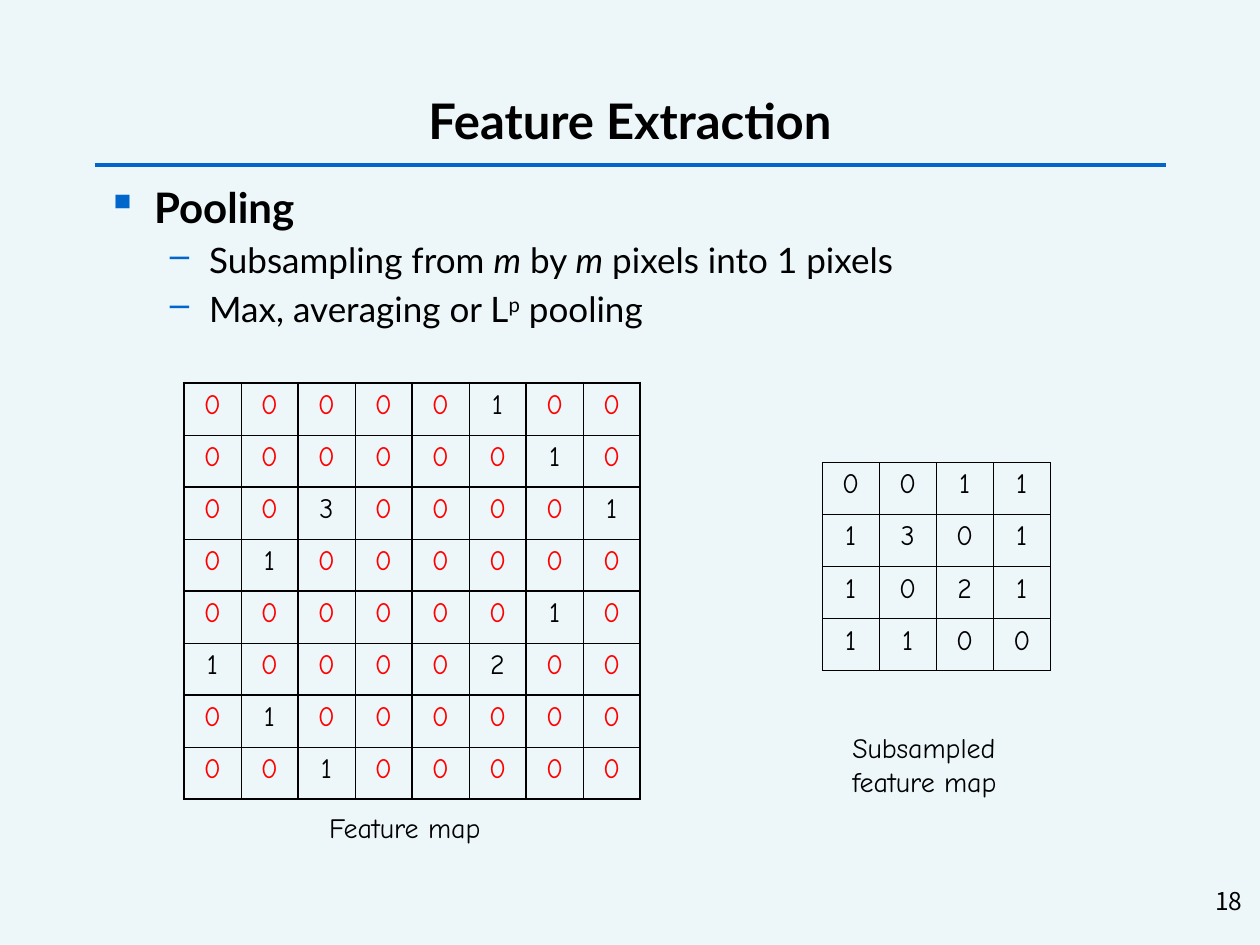
from lxml.etree import SubElement
from pptx import Presentation
from pptx.dml.color import RGBColor
from pptx.enum.shapes import MSO_CONNECTOR
from pptx.enum.text import MSO_ANCHOR, PP_ALIGN
from pptx.oxml.ns import qn
from pptx.util import Pt

FEATURE_MAP = [
    "00000100",
    "00000010",
    "00300001",
    "01000000",
    "00000010",
    "10000200",
    "01000000",
    "00100000",
]
SUBSAMPLED_MAP = ["0011", "1301", "1021", "1100"]


def color(hex_string):
    return RGBColor.from_string(hex_string)


class SlideBuilder:
    background = "EDF7F9"
    accent = "0066CC"
    ink = "000000"
    zero = "FF0000"
    text_font = "Lato"
    map_font = "Comic Neue"
    number_font = "Noto Sans CJK KR"
    cell_width = 32.6
    cell_height = 29.75
    thick, thin = 1.5, 0.25

    def __init__(self, presentation):
        self.slide = presentation.slides.add_slide(presentation.slide_layouts[6])
        fill = self.slide.background.fill
        fill.solid()
        fill.fore_color.rgb = color(self.background)

    def rule(self, left, right, top):
        line = self.slide.shapes.add_connector(
            MSO_CONNECTOR.STRAIGHT, Pt(left), Pt(top), Pt(right), Pt(top))
        line.line.color.rgb = color(self.accent)
        line.line.width = Pt(2.25)
        SubElement(line._element.spPr, qn("a:effectLst"))

    def text_frame(self, left, top, width, height, anchor=MSO_ANCHOR.TOP):
        box = self.slide.shapes.add_textbox(Pt(left), Pt(top), Pt(width), Pt(height))
        frame = box.text_frame
        frame.word_wrap = True
        frame.vertical_anchor = anchor
        return frame

    def run(self, paragraph, text, size, font, fill=ink, bold=False, style=None):
        """Add one run; style may be "italic" or "superscript"."""
        run = paragraph.add_run()
        run.text = text
        run.font.size = Pt(size)
        run.font.name = font
        run.font.bold = bold
        run.font.color.rgb = color(fill)
        if style == "italic":
            run.font.italic = True
        elif style == "superscript":
            run._r.get_or_add_rPr().set("baseline", "30000")

    def label(self, lines, left, top, width, height, size, font,
              align=PP_ALIGN.LEFT, bold=False, anchor=MSO_ANCHOR.TOP):
        frame = self.text_frame(left, top, width, height, anchor)
        for index, line in enumerate(lines):
            paragraph = frame.add_paragraph() if index else frame.paragraphs[0]
            paragraph.alignment = align
            self.run(paragraph, line, size, font, bold=bold)

    def bullet(self, paragraph, symbol, margin, hanging):
        properties = paragraph._p.get_or_add_pPr()
        properties.set("marL", str(Pt(margin)))
        properties.set("indent", str(-Pt(hanging)))
        bullet_color = SubElement(properties, qn("a:buClr"))
        SubElement(bullet_color, qn("a:srgbClr"), val=self.accent)
        SubElement(properties, qn("a:buChar"), char=symbol)

    def outline(self, items, left, top, width, height):
        """Add bulleted items, each a level and a list of (text, style) runs."""
        frame = self.text_frame(left, top, width, height)
        for index, (level, runs) in enumerate(items):
            paragraph = frame.add_paragraph() if index else frame.paragraphs[0]
            paragraph.level = level
            size = 20 if level else 24
            paragraph.space_before = Pt(size * 0.2)
            if level:
                self.bullet(paragraph, "–", 58.5, 22.5)
            else:
                self.bullet(paragraph, "▪", 27, 27)
            for text, style in runs:
                self.run(paragraph, text, size, self.text_font,
                         bold=level == 0, style=style)

    def border(self, cell, weights):
        """Put left, right, top and bottom lines ahead of the cell's fill."""
        properties = cell._tc.get_or_add_tcPr()
        for position, (side, weight) in enumerate(zip("LRTB", weights)):
            line = SubElement(properties, qn(f"a:ln{side}"), w=str(Pt(weight)))
            fill = SubElement(line, qn("a:solidFill"))
            SubElement(fill, qn("a:srgbClr"), val=self.ink)
            properties.insert(position, line)

    def grid(self, rows, left, top, block=None, zero_color=ink):
        """Add a table of digits, with thick lines around each block of cells."""
        columns = len(rows[0])
        table = self.slide.shapes.add_table(
            len(rows), columns, Pt(left), Pt(top),
            Pt(columns * self.cell_width), Pt(len(rows) * self.cell_height)).table
        table.first_row = table.horz_banding = False
        for column in table.columns:
            column.width = Pt(self.cell_width)
        for row in table.rows:
            row.height = Pt(self.cell_height)
        for y, digits in enumerate(rows):
            for x, digit in enumerate(digits):
                cell = table.cell(y, x)
                cell.fill.solid()
                cell.fill.fore_color.rgb = color(self.background)
                self.border(cell, [
                    self.thick if block and edge % block == 0 else self.thin
                    for edge in (x, x + 1, y, y + 1)])
                paragraph = cell.text_frame.paragraphs[0]
                paragraph.alignment = PP_ALIGN.CENTER
                self.run(paragraph, digit, 16, self.map_font,
                         zero_color if digit == "0" else self.ink)


def main():
    presentation = Presentation()
    presentation.slide_width, presentation.slide_height = Pt(720), Pt(540)
    builder = SlideBuilder(presentation)

    builder.rule(54, 666, 94.2)
    builder.label(["Feature Extraction"], 54, 48.5, 612, 40, 28, builder.text_font,
                  PP_ALIGN.CENTER, bold=True, anchor=MSO_ANCHOR.MIDDLE)
    builder.outline([
        (0, [("Pooling", None)]),
        (1, [("Subsampling from ", None), ("m", "italic"), (" by ", None),
             ("m", "italic"), (" pixels into 1 pixels", None)]),
        (1, [("Max, averaging or L", None), ("p", "superscript"),
             (" pooling", None)]),
    ], 54, 100, 612, 380)
    builder.label(["18"], 567.5, 502.5, 149.5, 36, 14, builder.number_font,
                  PP_ALIGN.RIGHT)

    builder.label(["Feature map"], 181, 459.5, 108.5, 26.5, 16, builder.map_font)
    builder.label(["Subsampled", "feature map"], 480, 414, 108.5, 46, 16,
                  builder.map_font)
    builder.grid(FEATURE_MAP, 105, 218.75, block=2, zero_color=builder.zero)
    builder.grid(SUBSAMPLED_MAP, 469.75, 264.25)

    presentation.save("out.pptx")


if __name__ == "__main__":
    main()
